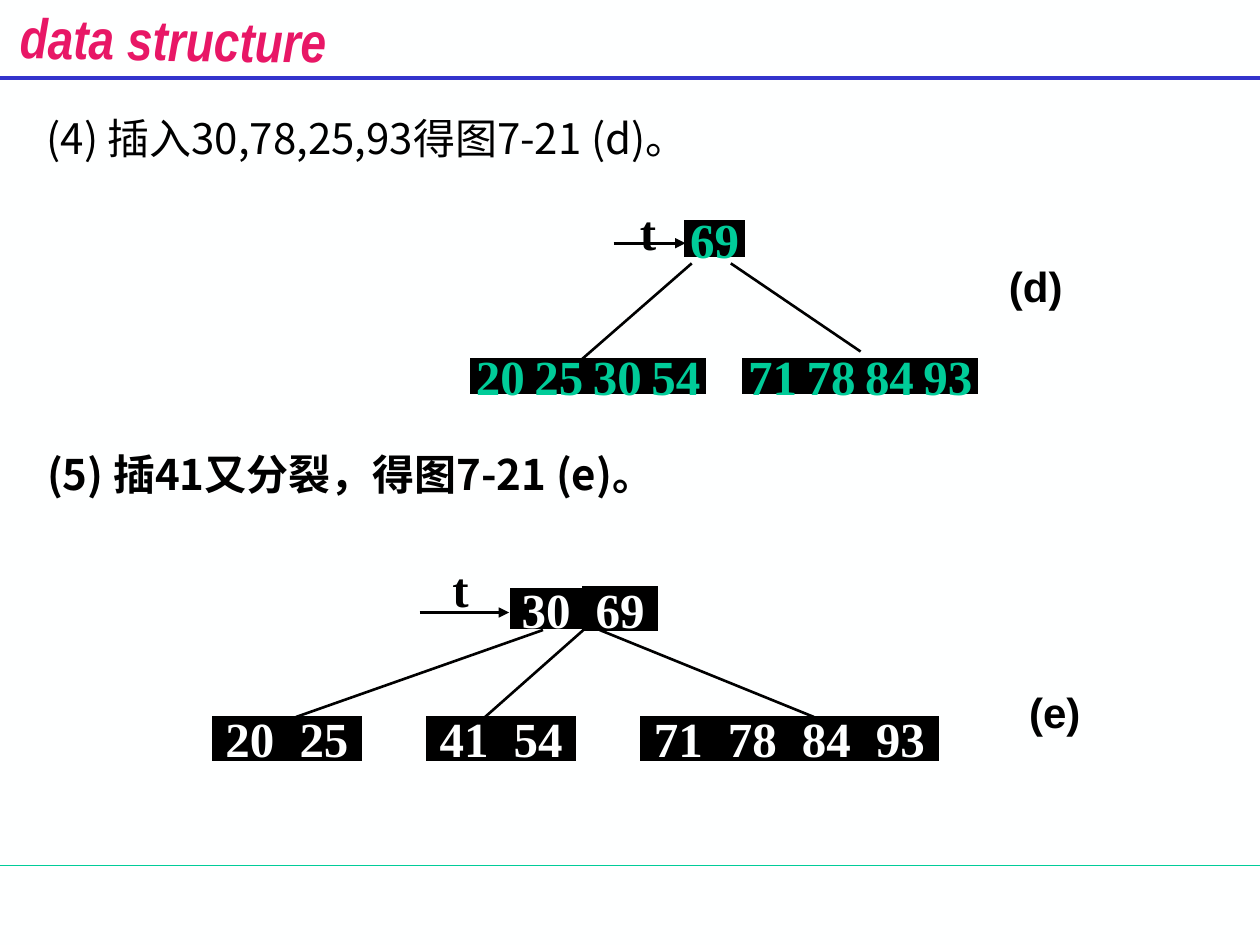
"""Build the slide that shows two insertion steps in a B-tree."""
from dataclasses import dataclass

from lxml.etree import SubElement
from pptx import Presentation
from pptx.dml.color import RGBColor
from pptx.enum.shapes import MSO_CONNECTOR, MSO_SHAPE
from pptx.enum.text import MSO_ANCHOR, MSO_AUTO_SIZE, PP_ALIGN
from pptx.oxml.ns import qn
from pptx.util import Pt

COLORS = {
    "paper": "FEFFFF",
    "ink": "000000",
    "title": "E81766",
    "header": "3333CC",
    "green": "00CC99",
}
SERIF, SANS, CHINESE = "Times New Roman", "Arial", "Noto Sans CJK SC"


@dataclass(frozen=True)
class Node:
    left: float
    top: float
    keys: tuple[str, ...]
    outlines: tuple[str, ...] = ()


@dataclass(frozen=True)
class Line:
    start: tuple[float, float]
    end: tuple[float, float]
    color: str = "ink"
    width: float = 1.5
    arrow: bool = False


@dataclass(frozen=True)
class Label:
    text: str
    box: tuple[float, float, float, float]
    size: float = 24
    font: str = SANS
    centered: bool = False


@dataclass(frozen=True)
class Tree:
    cell_width: float
    cell_height: float
    key_color: str
    nodes: tuple[Node, ...]
    lines: tuple[Line, ...]
    pointer: Label


RULES = (
    Line((0, 494.7), (720, 494.7), "green", 0.75),
    Line((0, 44.6), (720, 44.6), "header", 2.25),
)
TREES = (
    Tree(
        33.4, 19.5, "green",
        (
            Node(391.7, 126.7, ("69",)),
            Node(269.3, 205.2, ("20", "25", "30", "54")),
            Node(424.8, 205.2, ("71", "78", "84", "93")),
        ),
        (
            Line((350.6, 139), (391.7, 139), arrow=True),
            Line((395.3, 150.5), (332.6, 205.2)),
            Line((417.6, 150.5), (491.8, 200.9)),
        ),
        Label("t", (358.6, 111.6, 22.3, 36), 28, SERIF, True),
    ),
    Tree(
        42.3, 24.5, "paper",
        (
            Node(290.9, 335.5, ("30", "69"), ("paper", "ink")),
            Node(121.7, 409.7, ("20", "25")),
            Node(244.1, 409.7, ("41", "54")),
            Node(366.5, 409.7, ("71", "78", "84", "93")),
        ),
        (
            Line((239.8, 350), (290.9, 350), arrow=True),
            Line((310.3, 360), (169.2, 409.7)),
            Line((333.4, 360), (277.2, 409.7)),
            Line((342.7, 360), (465.1, 409.7)),
        ),
        Label("t", (249.1, 315.4, 28.1, 36), 28, SERIF, True),
    ),
)
LABELS = (
    Label("(d)", (569.5, 151.2, 45.4, 33.8)),
    Label("(5) 插41又分裂，得图7-21 (e)。", (19.8, 258.5, 527.4, 33.8), font=CHINESE),
    Label("(e)", (581, 394.6, 45.4, 33.8)),
)


def rgb(name: str) -> RGBColor:
    """Return the named colour."""
    return RGBColor.from_string(COLORS[name])


def style(paragraph, size: float, font: str, color: str, bold: bool = True) -> None:
    """Set the font of a whole paragraph, East Asian text included."""
    paragraph.font.size = Pt(size)
    paragraph.font.name = font
    paragraph.font.bold = bold
    paragraph.font.color.rgb = rgb(color)
    defaults = paragraph._p.pPr.find(qn("a:defRPr"))
    SubElement(defaults, qn("a:ea")).set("typeface", font)


def hang(paragraph) -> None:
    """Give a paragraph the hanging indent of the numbered steps."""
    properties = paragraph._p.get_or_add_pPr()
    properties.set("marL", str(Pt(27)))
    properties.set("indent", str(Pt(-27)))


def place(shape, left: float, top: float, width: float, height: float) -> None:
    """Move and size a shape."""
    shape.left, shape.top = Pt(left), Pt(top)
    shape.width, shape.height = Pt(width), Pt(height)


def add_line(shapes, line: Line) -> None:
    """Draw a straight line, with an arrowhead if asked for."""
    connector = shapes.add_connector(
        MSO_CONNECTOR.STRAIGHT, *(Pt(value) for value in line.start + line.end))
    connector.line.width = Pt(line.width)
    connector.line.color.rgb = rgb(line.color)
    if line.arrow:
        outline = connector.line._get_or_add_ln()
        SubElement(outline, qn("a:tailEnd")).set("type", "triangle")
    SubElement(connector._element.spPr, qn("a:effectLst"))


def add_label(shapes, label: Label) -> None:
    """Draw a bold text label."""
    text_box = shapes.add_textbox(*(Pt(value) for value in label.box))
    text_box.text_frame.word_wrap = True
    paragraph = text_box.text_frame.paragraphs[0]
    paragraph.text = label.text
    if label.centered:
        paragraph.alignment = PP_ALIGN.CENTER
    else:
        hang(paragraph)
        paragraph.line_spacing = 0.8
    style(paragraph, label.size, label.font, "ink")


def add_node(shapes, node: Node, tree: Tree) -> None:
    """Draw a tree node as a row of key cells."""
    outlines = node.outlines or ("ink",) * len(node.keys)
    for index, (key, outline) in enumerate(zip(node.keys, outlines)):
        cell = shapes.add_shape(
            MSO_SHAPE.RECTANGLE, Pt(node.left + index * tree.cell_width),
            Pt(node.top), Pt(tree.cell_width), Pt(tree.cell_height))
        cell.shadow.inherit = False
        cell.fill.solid()
        cell.fill.fore_color.rgb = rgb("ink")
        cell.line.color.rgb = rgb(outline)
        cell.line.width = Pt(1.5)
        SubElement(cell.line._get_or_add_ln(), qn("a:miter")).set("lim", "800000")
        cell.text_frame.word_wrap = False
        cell.text_frame.vertical_anchor = MSO_ANCHOR.MIDDLE
        paragraph = cell.text_frame.paragraphs[0]
        paragraph.text = key
        paragraph.alignment = PP_ALIGN.CENTER
        style(paragraph, 28, SERIF, tree.key_color)


def add_tree(slide, tree: Tree) -> None:
    """Draw a tree as one group."""
    shapes = slide.shapes.add_group_shape().shapes
    for node in tree.nodes:
        add_node(shapes, node, tree)
    for line in tree.lines:
        add_line(shapes, line)
    add_label(shapes, tree.pointer)


def fill_placeholder(shape, text: str):
    """Write one top-anchored paragraph into a placeholder and return it."""
    frame = shape.text_frame
    frame.text = text
    frame.auto_size = MSO_AUTO_SIZE.NONE
    frame.vertical_anchor = MSO_ANCHOR.TOP
    return frame.paragraphs[0]


def main() -> None:
    """Build and save the presentation."""
    presentation = Presentation()
    presentation.slide_width, presentation.slide_height = Pt(720), Pt(540)
    slide = presentation.slides.add_slide(presentation.slide_layouts[1])
    slide.background.fill.solid()
    slide.background.fill.fore_color.rgb = rgb("paper")

    title, body = slide.shapes.title, slide.placeholders[1]
    place(title, 4, -0.7, 190, 38.9)
    title.rotation = 0.8
    heading = fill_placeholder(title, "data structure")
    title.text_frame.word_wrap = False
    title.text_frame.margin_left = title.text_frame.margin_right = Pt(0)
    heading.alignment = PP_ALIGN.CENTER
    style(heading, 32, "Arial Narrow", "title")
    heading.font.italic = True

    place(body, 19.4, 60.5, 672.5, 51.1)
    step = fill_placeholder(body, "(4) 插入30,78,25,93得图7-21 (d)。")
    hang(step)
    SubElement(step._p.pPr, qn("a:buNone"))
    step.space_before = Pt(0)
    style(step, 24, CHINESE, "ink", bold=False)

    for rule in RULES:
        add_line(slide.shapes, rule)
    for tree in TREES:
        add_tree(slide, tree)
    for label in LABELS:
        add_label(slide.shapes, label)
    presentation.save("out.pptx")


if __name__ == "__main__":
    main()
